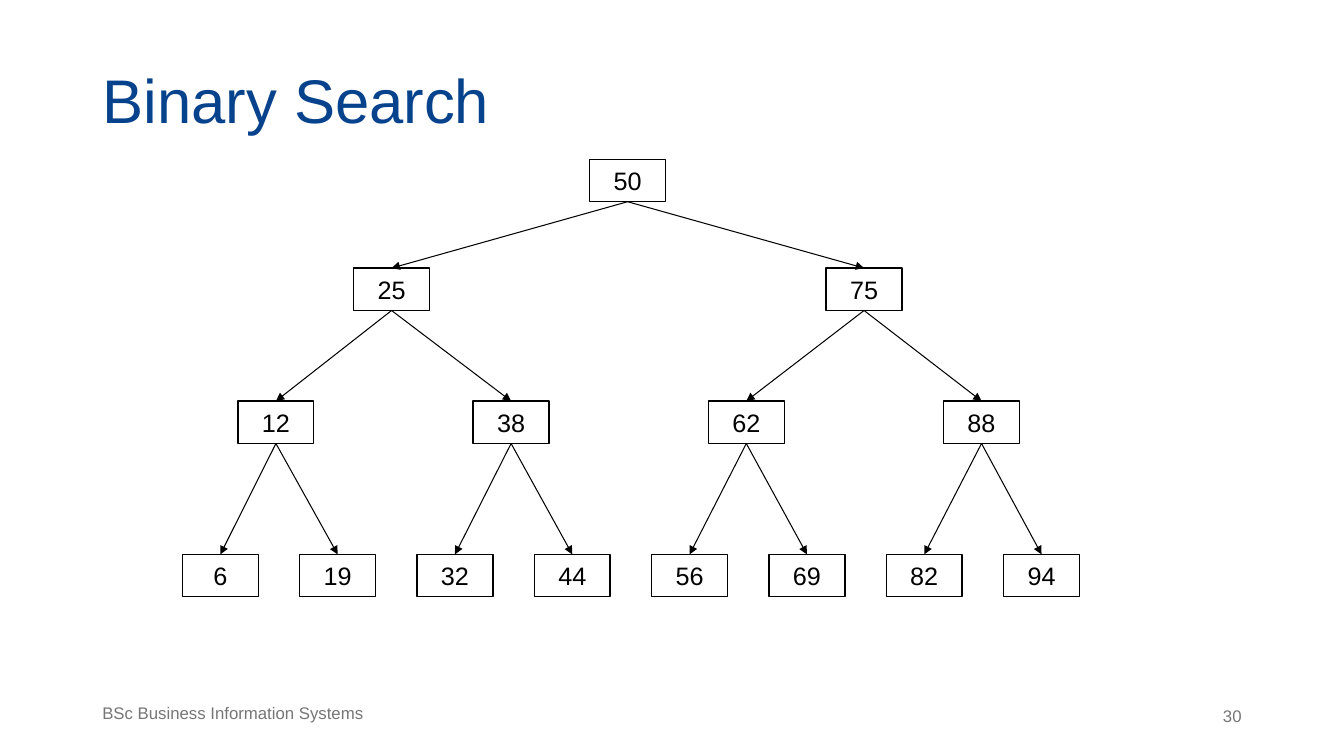
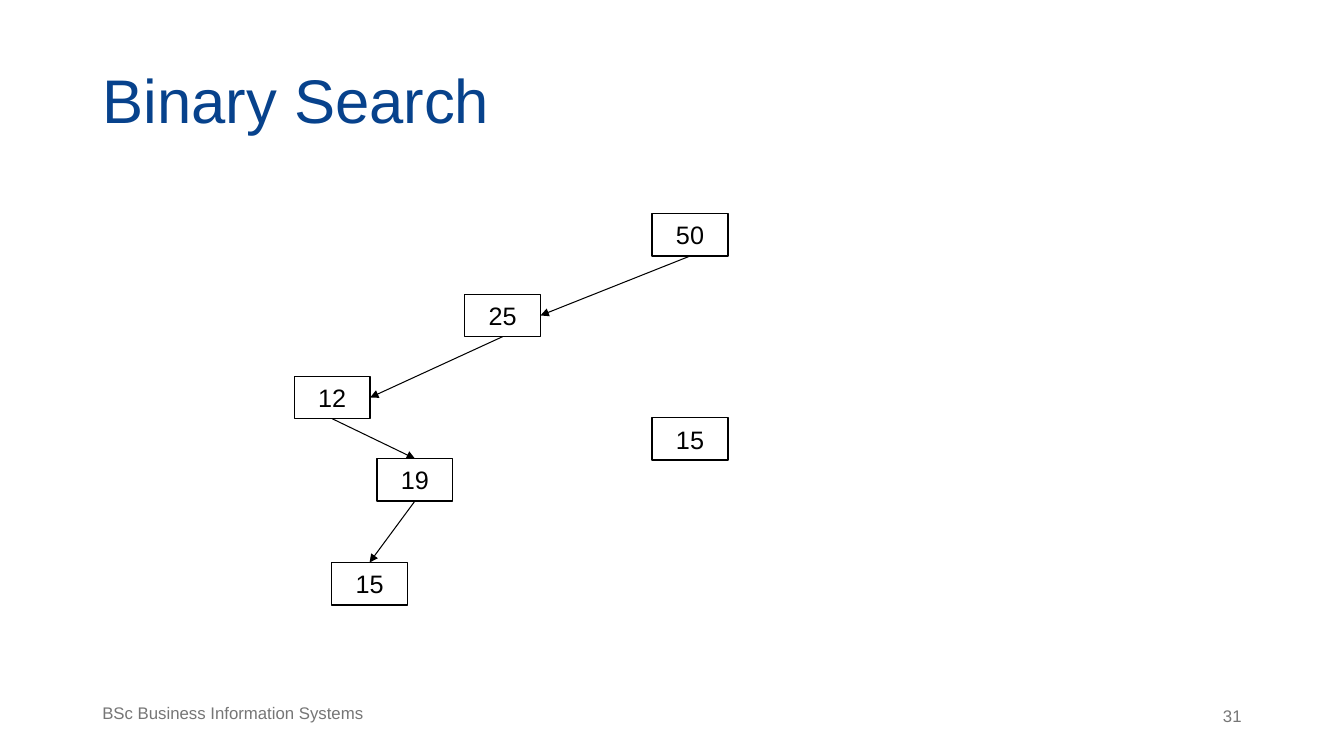
from pptx import Presentation
from pptx.dml.color import RGBColor
from pptx.enum import shapes, text
from pptx.oxml.ns import qn
from pptx.util import Pt
from lxml import etree

BLUE = RGBColor(0x07, 0x42, 0x8C)
GREY = RGBColor(0x76, 0x76, 0x76)
BLACK = RGBColor(0, 0, 0)
WHITE = RGBColor(255, 255, 255)
FONT = "Arial"
BOX_W, BOX_H = 54.2, 30.3
TOP, BOTTOM, RIGHT = 0, 2, 3
LEFT, CENTER, END = text.PP_ALIGN.LEFT, text.PP_ALIGN.CENTER, text.PP_ALIGN.RIGHT


class Deck:
    def __init__(self):
        self.prs = Presentation()
        self.prs.slide_width, self.prs.slide_height = Pt(960), Pt(540)
        self.slide = None

    def start(self, title, number):
        """Add a slide with its title, footer and page number."""
        self.slide = self.prs.slides.add_slide(self.prs.slide_layouts[5])
        head = self.slide.shapes.title
        head.left, head.top, head.width, head.height = Pt(66), Pt(37.5), Pt(675.5), Pt(67.5)
        frame = head.text_frame
        frame.margin_left = frame.margin_right = Pt(7.2)
        frame.margin_top = frame.margin_bottom = Pt(7.2)
        frame.auto_size = text.MSO_AUTO_SIZE.NONE
        frame.vertical_anchor = text.MSO_ANCHOR.BOTTOM
        self.style(frame, title, 44, BLUE, LEFT, 0.9)
        self.label("BSc Business Information Systems", 66, 499.7, 244, LEFT, 0.9)
        self.label(str(number), 733.5, 500.5, 160.5, END)

    def style(self, frame, words, size, color, align, spacing=1.0):
        """Fill the frame with one paragraph and format it."""
        frame.text = words
        frame.word_wrap = True
        par = frame.paragraphs[0]
        par.alignment, par.line_spacing = align, spacing
        font = par.runs[0].font
        font.name, font.size, font.color.rgb = FONT, Pt(size), color

    def label(self, words, x, y, width, align, spacing=1.0):
        area = self.slide.shapes.add_textbox(Pt(x), Pt(y), Pt(width), Pt(29))
        self.style(area.text_frame, words, 12, GREY, align, spacing)

    def node(self, value, x, y):
        box = self.slide.shapes.add_shape(
            shapes.MSO_SHAPE.RECTANGLE, Pt(x), Pt(y), Pt(BOX_W), Pt(BOX_H))
        box.shadow.inherit = False
        box.fill.solid()
        box.fill.fore_color.rgb = WHITE
        box.line.color.rgb = BLACK
        box.line.width = Pt(1)
        box.text_frame.vertical_anchor = text.MSO_ANCHOR.MIDDLE
        self.style(box.text_frame, str(value), 18, BLACK, CENTER)
        return box

    def arrow(self, parent, child, side=TOP):
        """Join the bottom of parent to the given side of child."""
        link = self.slide.shapes.add_connector(shapes.MSO_CONNECTOR.STRAIGHT, 0, 0, 0, 0)
        link.begin_connect(parent, BOTTOM)
        link.end_connect(child, side)
        link.line.color.rgb = BLACK
        link.line.width = Pt(0.75)
        props = link._element.spPr
        etree.SubElement(props.find(qn("a:ln")), qn("a:tailEnd"), type="triangle")
        etree.SubElement(props, qn("a:effectLst"))


def tree(deck):
    deck.start("Binary Search", 30)
    # values, left of first box, step between boxes, top
    levels = [
        ([50], 421.2, 0, 113.8),
        ([25, 75], 252.6, 337.5, 191.5),
        ([12, 38, 62, 88], 170, 168, 286.5),
        ([6, 19, 32, 44, 56, 69, 82, 94], 130.3, 83.8, 396),
    ]
    rows = [[deck.node(value, x + i * step, y) for i, value in enumerate(values)]
            for values, x, step, y in levels]
    for upper, lower in zip(rows, rows[1:]):
        for i, child in enumerate(lower):
            deck.arrow(upper[i // 2], child)


def search(deck):
    deck.start("Binary Search", 31)
    last = deck.node(50, 465.8, 152.6)
    steps = [
        (25, 331.9, 210.2, RIGHT),
        (12, 210.2, 268.8, RIGHT),
        (19, 269.3, 327.6, TOP),
        (15, 236.9, 401.8, TOP),
    ]
    for value, x, y, side in steps:
        child = deck.node(value, x, y)
        deck.arrow(last, child, side)
        last = child
    deck.node(15, 465.8, 298.4)


def main():
    deck = Deck()
    tree(deck)
    search(deck)
    deck.prs.save("out.pptx")


if __name__ == "__main__":
    main()
